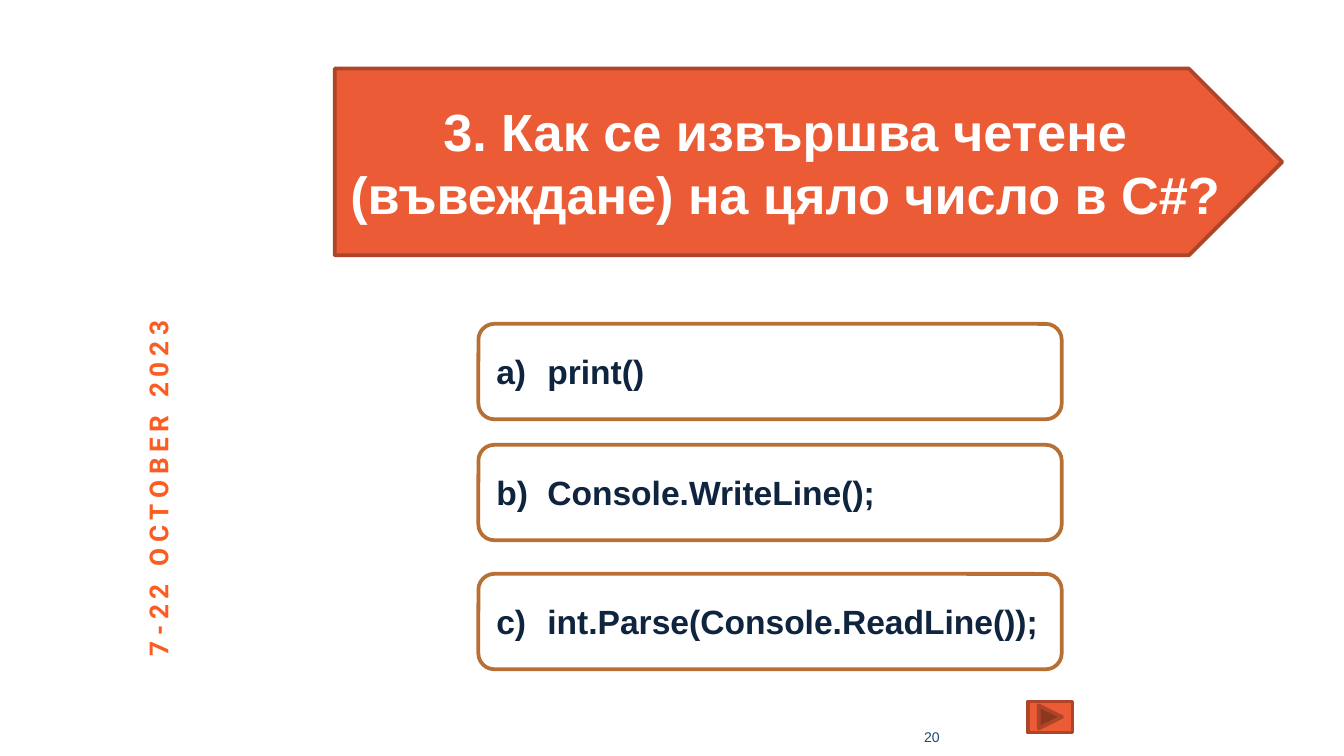
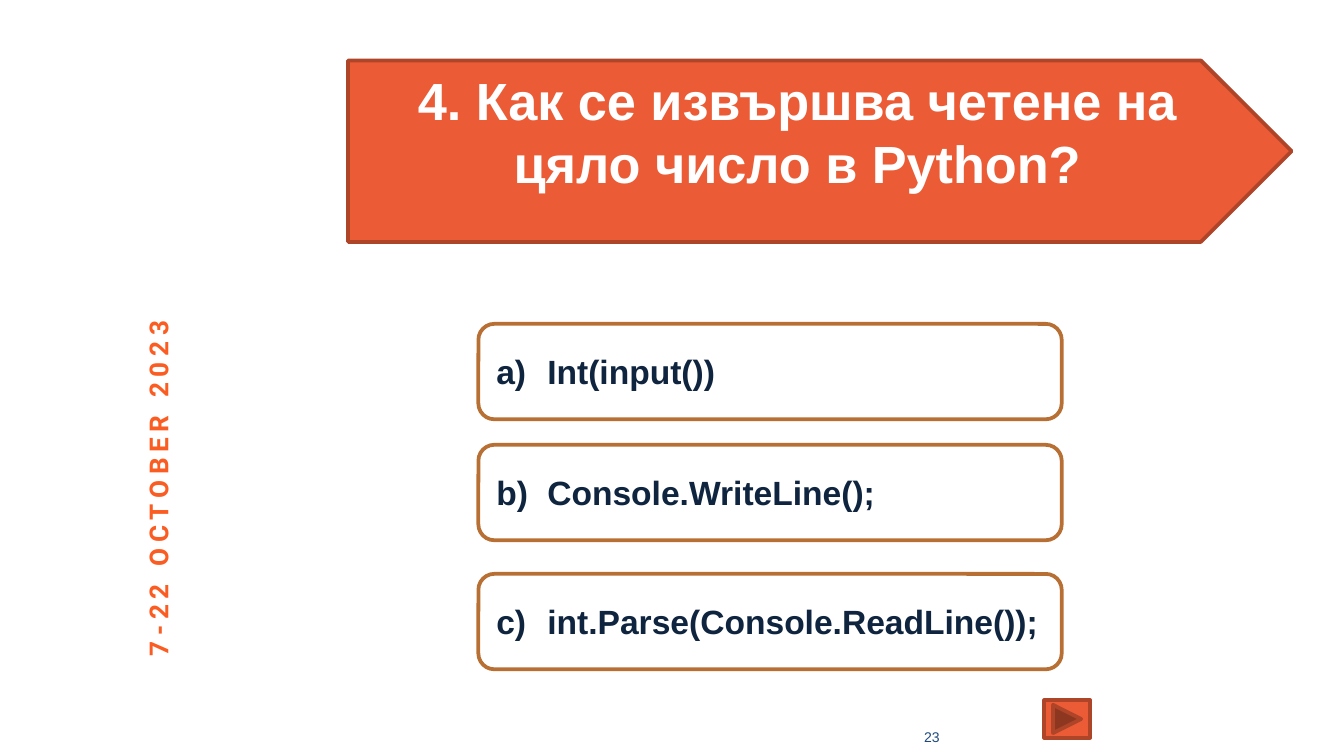
import pptx
import pptx.util
import pptx.dml.color
import pptx.enum.shapes
import pptx.enum.text
import pptx.oxml.ns
from lxml import etree

Inches = pptx.util.Inches
Pt = pptx.util.Pt
SHAPES = pptx.enum.shapes.MSO_SHAPE
ALIGN = pptx.enum.text.PP_ALIGN
ANCHOR = pptx.enum.text.MSO_ANCHOR

# Shared look
ORANGE, DARK_ORANGE, BROWN = "EB5C36", "AE4428", "B76F34"
DATE_ORANGE, NAVY, BLUE, WHITE = "FB5C22", "0F243E", "1F497D", "FFFFFF"
ANSWER_LEFT, ANSWER_WIDTH, ANSWER_HEIGHT = 3.56, 4.34, 0.71
ANSWER_TOPS = (2.41, 3.31, 4.27)
HANGING_INDENT = 0.38
BANNER_INSET = 0.05

# Boxes are left, top, width, height in inches
QUESTIONS = [
    {
        "title": "3. Как се извършва четене (въвеждане) на цяло число в C#?",
        "answers": ["print()", "Console.WriteLine();", "int.Parse(Console.ReadLine());"],
        "number": "20",
        "banner": (2.49, 0.51, 7.05, 1.39),
        "button": (7.65, 5.22, 0.33, 0.23),
        "space_below": BANNER_INSET,
    },
    {
        "title": "4. Как се извършва четене на цяло число в Python?",
        "answers": ["Int(input())", "Console.WriteLine();", "int.Parse(Console.ReadLine());"],
        "number": "23",
        "banner": (2.59, 0.45, 7.02, 1.35),
        "button": (7.77, 5.21, 0.34, 0.28),
        "space_below": BANNER_INSET + 0.3,
    },
]


def color(hex_code):
    return pptx.dml.color.RGBColor.from_string(hex_code)


def add_run(paragraph, text, size, hex_code, bold=True, font="Arial"):
    run = paragraph.add_run()
    run.text = text
    run.font.name = font
    run.font.size = Pt(size)
    run.font.bold = bold
    run.font.color.rgb = color(hex_code)
    return run


def add_outlined_shape(slide, kind, box, line, fill=None):
    shape = slide.shapes.add_shape(kind, *map(Inches, box))
    shape.shadow.inherit = False
    if fill:
        shape.fill.solid()
        shape.fill.fore_color.rgb = color(fill)
    else:
        shape.fill.background()
    shape.line.color.rgb = color(line)
    shape.line.width = Pt(2)
    shape.text_frame.word_wrap = True
    shape.text_frame.vertical_anchor = ANCHOR.MIDDLE
    return shape


def add_text_box(slide, box):
    text_box = slide.shapes.add_textbox(*map(Inches, box))
    text_box.text_frame.word_wrap = True
    return text_box


def add_date(slide):
    text_box = add_text_box(slide, (-0.28, 3.35, 2.92, 0.34))
    text_box.rotation = 270
    paragraph = text_box.text_frame.paragraphs[0]
    run = add_run(paragraph, "7-22 OCTOBER 2023", 14, DATE_ORANGE, font="Roboto")
    run.font._element.set("spc", "300")


def add_slide_number(slide, number):
    frame = add_text_box(slide, (4.84, 5.33, 2.25, 0.3)).text_frame
    frame.vertical_anchor = ANCHOR.MIDDLE
    paragraph = frame.paragraphs[0]
    paragraph.alignment = ALIGN.RIGHT
    add_run(paragraph, number, 7.5, BLUE, bold=False)


def add_answer(slide, position, top, text):
    box = (ANSWER_LEFT, top, ANSWER_WIDTH, ANSWER_HEIGHT)
    shape = add_outlined_shape(slide, SHAPES.ROUNDED_RECTANGLE, box, BROWN)
    paragraph = shape.text_frame.paragraphs[0]
    paragraph.alignment = ALIGN.LEFT
    add_run(paragraph, text, 18, NAVY)

    # Automatic lettering: a), b), c)
    properties = paragraph._p.get_or_add_pPr()
    properties.set("marL", str(Inches(HANGING_INDENT)))
    properties.set("indent", str(-Inches(HANGING_INDENT)))
    lettering = etree.SubElement(properties, pptx.oxml.ns.qn("a:buAutoNum"))
    lettering.set("type", "alphaLcParenR")
    lettering.set("startAt", str(position))


def add_question_banner(slide, text, box, space_below):
    frame = add_outlined_shape(slide, SHAPES.PENTAGON, box, DARK_ORANGE, ORANGE).text_frame
    frame.margin_left = frame.margin_right = frame.margin_top = Inches(BANNER_INSET)
    frame.margin_bottom = Inches(space_below)
    paragraph = frame.paragraphs[0]
    paragraph.alignment = ALIGN.CENTER
    add_run(paragraph, text, 28, WHITE)


def add_question_slide(presentation, question):
    # The question stands in the arrow, so the blank layout is enough
    slide = presentation.slides.add_slide(presentation.slide_layouts[6])
    slide.background.fill.solid()
    slide.background.fill.fore_color.rgb = color(WHITE)
    add_date(slide)
    add_slide_number(slide, question["number"])
    for position, (top, text) in enumerate(zip(ANSWER_TOPS, question["answers"]), 1):
        add_answer(slide, position, top, text)
    add_outlined_shape(slide, SHAPES.ACTION_BUTTON_FORWARD_OR_NEXT,
                       question["button"], DARK_ORANGE, ORANGE)
    add_question_banner(slide, question["title"], question["banner"], question["space_below"])


def main():
    presentation = pptx.Presentation()
    # Widescreen, 16 to 9
    presentation.slide_width = Inches(10)
    presentation.slide_height = Inches(10 * 9 / 16)
    for question in QUESTIONS:
        add_question_slide(presentation, question)
    presentation.save("out.pptx")


if __name__ == "__main__":
    main()
